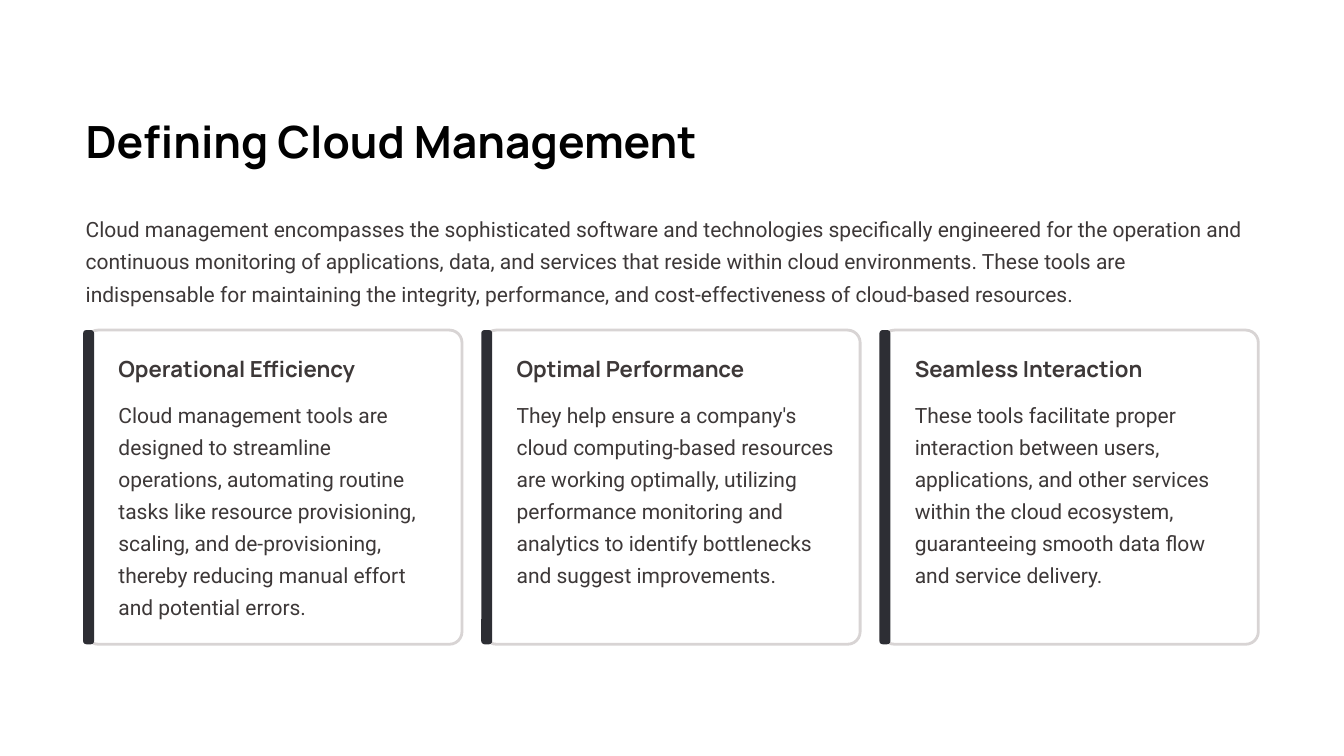
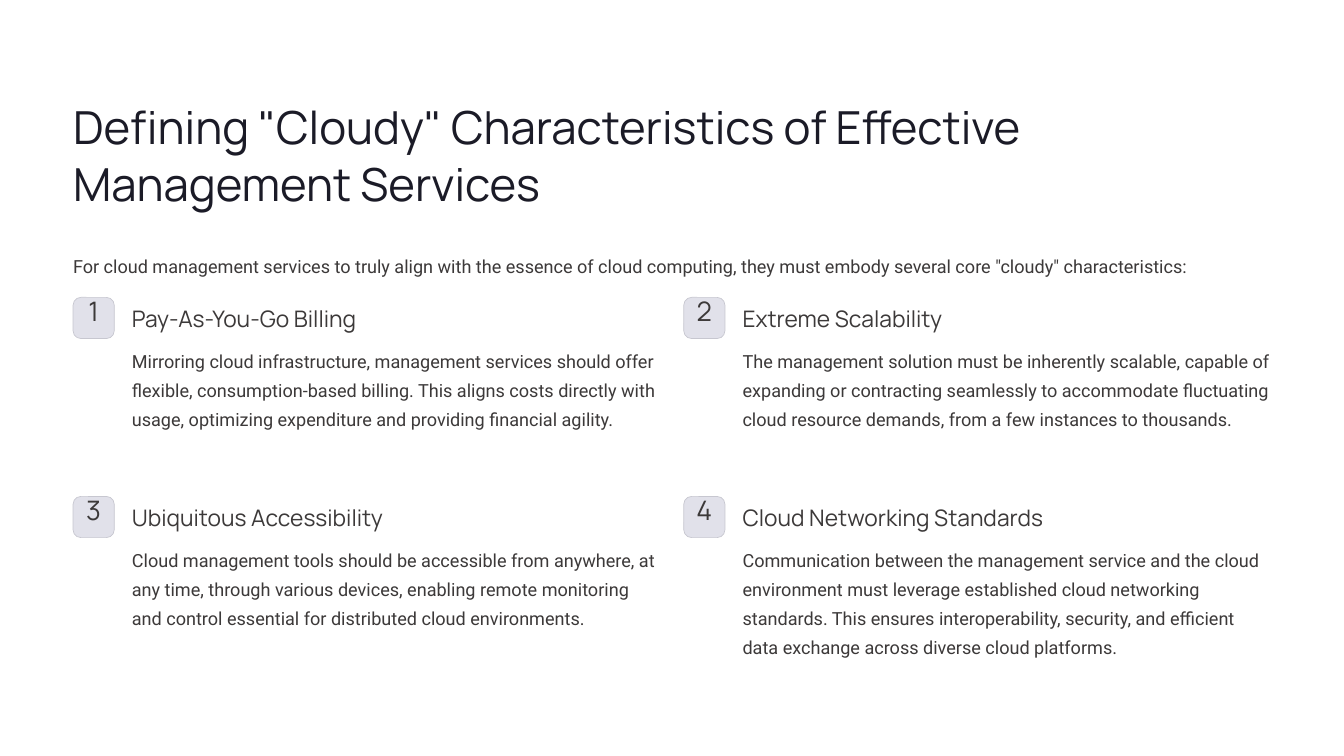
import pptx
import pptx.util
import pptx.dml.color
import pptx.enum.shapes
import pptx.enum.text

SCALE = 9144  # EMU in one px, 100 px to the inch
WIDTH, HEIGHT = 1600, 900
HEAD, BODY = "Manrope", "Roboto"
WHITE, BLACK, NAVY = "FFFFFF", "000000", "1B1B27"
GREY, SLATE = "3D3838", "3C3939"
BAR, EDGE = "2D2E34", "D8D4D4"
BADGE, RIM = "E1E1EA", "C7C7D0"

INTRO = (
    "Cloud management encompasses the sophisticated software and technologies "
    "specifically engineered for the operation and continuous monitoring of "
    "applications, data, and services that reside within cloud environments. "
    "These tools are indispensable for maintaining the integrity, performance, "
    "and cost-effectiveness of cloud-based resources."
)
CARDS = [
    ("Operational Efficiency",
     "Cloud management tools are designed to streamline operations, automating "
     "routine tasks like resource provisioning, scaling, and de-provisioning, "
     "thereby reducing manual effort and potential errors."),
    ("Optimal Performance",
     "They help ensure a company's cloud computing-based resources are working "
     "optimally, utilizing performance monitoring and analytics to identify "
     "bottlenecks and suggest improvements."),
    ("Seamless Interaction",
     "These tools facilitate proper interaction between users, applications, "
     "and other services within the cloud ecosystem, guaranteeing smooth data "
     "flow and service delivery."),
]
LEAD = (
    "For cloud management services to truly align with the essence of cloud "
    "computing, they must embody several core \"cloudy\" characteristics:"
)
TRAITS = [
    ("Pay-As-You-Go Billing",
     "Mirroring cloud infrastructure, management services should offer "
     "flexible, consumption-based billing. This aligns costs directly with "
     "usage, optimizing expenditure and providing financial agility."),
    ("Extreme Scalability",
     "The management solution must be inherently scalable, capable of "
     "expanding or contracting seamlessly to accommodate fluctuating cloud "
     "resource demands, from a few instances to thousands."),
    ("Ubiquitous Accessibility",
     "Cloud management tools should be accessible from anywhere, at any time, "
     "through various devices, enabling remote monitoring and control "
     "essential for distributed cloud environments."),
    ("Cloud Networking Standards",
     "Communication between the management service and the cloud environment "
     "must leverage established cloud networking standards. This ensures "
     "interoperability, security, and efficient data exchange across diverse "
     "cloud platforms."),
]


def px(*sizes):
    return [pptx.util.Emu(size * SCALE) for size in sizes]


def color(code):
    return pptx.dml.color.RGBColor.from_string(code)


def write(shape, text, *, size, lead, font=BODY, ink=GREY, bold=False,
          align="LEFT", top=0):
    """Put one paragraph in a shape; lead is the line pitch in points."""
    frame = shape.text_frame
    frame.word_wrap = True
    frame.auto_size = pptx.enum.text.MSO_AUTO_SIZE.NONE
    frame.vertical_anchor = pptx.enum.text.MSO_ANCHOR.TOP
    frame.margin_left = frame.margin_right = frame.margin_bottom = 0
    frame.margin_top = px(top)[0]
    para = frame.paragraphs[0]
    para.alignment = pptx.enum.text.PP_ALIGN[align]
    para.line_spacing = pptx.util.Pt(lead)
    run = para.add_run()
    run.text = text
    run.font.name = font
    run.font.size = pptx.util.Pt(size)
    run.font.bold = bold
    run.font.color.rgb = color(ink)


def label(slide, area, text, **style):
    write(slide.shapes.add_textbox(*px(*area)), text, **style)


def panel(slide, area, fill, round, line=None, width=0):
    """Add a rounded rectangle; round is the corner share of the short side."""
    kind = pptx.enum.shapes.MSO_SHAPE.ROUNDED_RECTANGLE
    shape = slide.shapes.add_shape(kind, *px(*area))
    shape.shadow.inherit = False
    shape.adjustments[0] = round
    shape.fill.solid()
    shape.fill.fore_color.rgb = color(fill)
    if line:
        shape.line.color.rgb = color(line)
        shape.line.width = pptx.util.Pt(width)
    else:
        shape.line.fill.background()
    return shape


def start(deck, text, area, **style):
    """Add a slide with its title set and placed."""
    slide = deck.slides.add_slide(deck.slide_layouts[5])
    title = slide.shapes.title
    title.left, title.top, title.width, title.height = px(*area)
    write(title, text, font=HEAD, **style)
    return slide


def card(slide, left, top, head, body):
    panel(slide, (left, top, 448, 374), WHITE, 0.04, EDGE, 2.4)
    panel(slide, (left - 3, top, 13, 374), BAR, 0.29)
    label(slide, (left + 39, top + 29, 381, 33), head,
          size=19, lead=23.5, font=HEAD, bold=True)
    label(slide, (left + 39, top + 78, 381, 268), body, size=18, lead=27.5)


def trait(slide, left, top, mark, head, body):
    badge = panel(slide, (left, top, 49, 49), BADGE, 0.19, RIM, 0.6)
    write(badge, mark, size=23, lead=23, font=HEAD, ink=SLATE,
          align="CENTER", top=1)
    label(slide, (left + 70, top + 8, 629, 34), head,
          size=19.5, lead=24, font=HEAD, ink=SLATE)
    label(slide, (left + 70, top + 54, 629, 139), body,
          size=15.5, lead=25, ink=SLATE)


def define(deck):
    left = 102
    slide = start(deck, "Defining Cloud Management", (left, 133, 1396, 66),
                  size=38, lead=47.5, ink=BLACK, bold=True)
    label(slide, (left, 250, 1396, 115), INTRO, size=18, lead=27.5)
    for col, (head, body) in enumerate(CARDS):
        card(slide, left + col * 474, 393, head, body)


def detail(deck):
    left = 87
    slide = start(
        deck,
        "Defining \"Cloudy\" Characteristics of Effective Management Services",
        (left, 116, 1426, 136), size=39, lead=48.5, ink=NAVY)
    label(slide, (left, 295, 1426, 35), LEAD, size=15.5, lead=25, ink=SLATE)
    for num, (head, body) in enumerate(TRAITS):
        row, col = divmod(num, 2)
        trait(slide, left + col * 727, 354 + row * 237,
              str(num + 1), head, body)


def main():
    deck = pptx.Presentation()
    deck.slide_width, deck.slide_height = px(WIDTH, HEIGHT)
    define(deck)
    detail(deck)
    deck.save("out.pptx")


if __name__ == "__main__":
    main()
